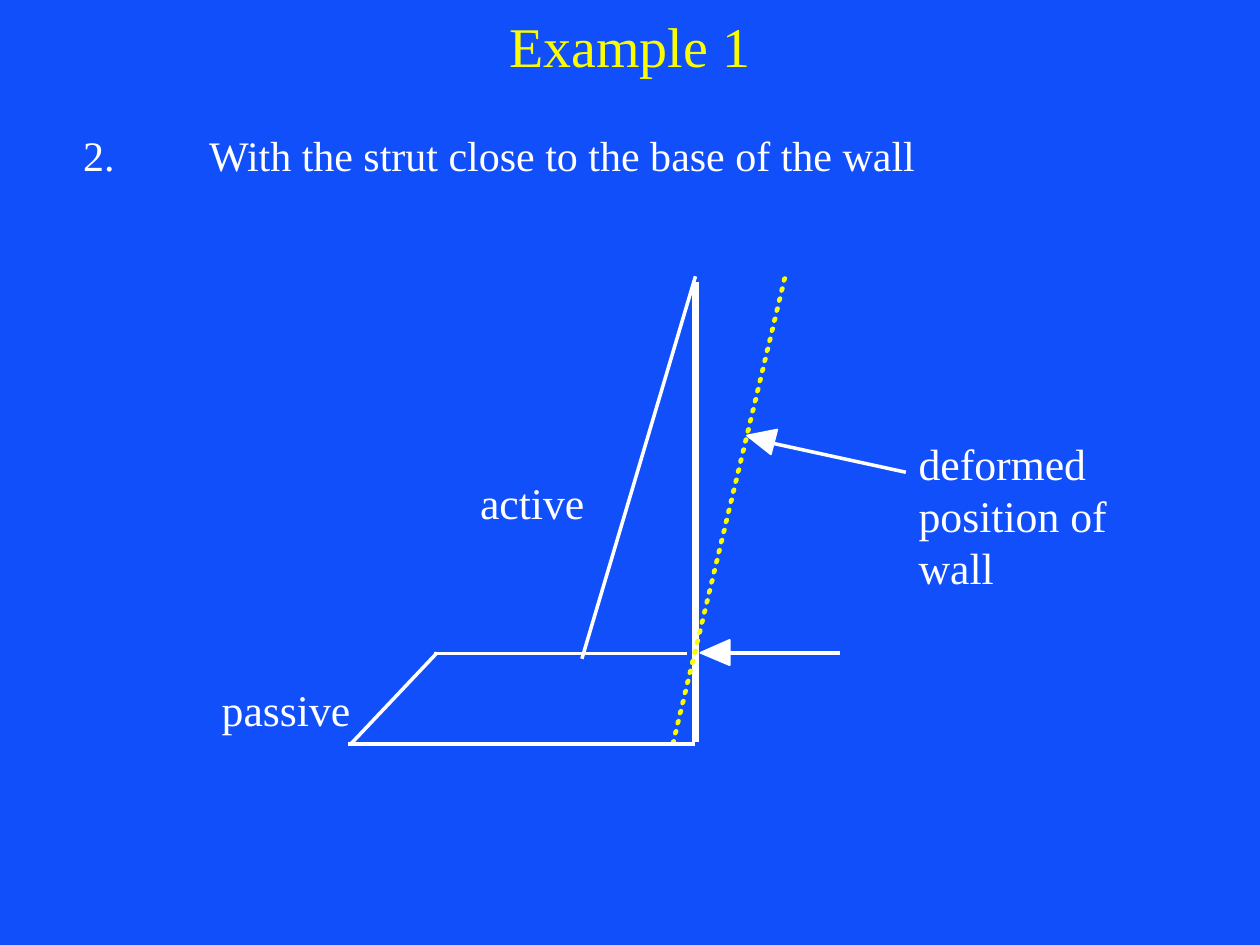
import dataclasses
import typing

import pptx
import pptx.dml.color
import pptx.enum.shapes
import pptx.enum.text
import pptx.oxml.ns
import pptx.util
from lxml import etree

Cm = pptx.util.Cm
Pt = pptx.util.Pt
Point = tuple[float, float]


@dataclasses.dataclass(frozen=True)
class Theme:
    back: str = "114FFB"
    ink: str = "FFFFFF"
    gold: str = "FAFD00"
    face: str = "Times New Roman"
    head: float = 32
    body: float = 24
    label: float = 25
    wall: float = 4
    thin: float = 2
    edge: float = 1
    dot: float = 2.25


class Label(typing.NamedTuple):
    text: str
    left: float
    top: float
    width: float


class Stroke(typing.NamedTuple):
    start: Point
    end: Point
    size: float


class Patch(typing.NamedTuple):
    points: list[Point]
    line: str
    size: float


THEME = Theme()

WALL = Stroke((14.02, 14.96), (14.02, 5.69), THEME.wall)
STRUT = Stroke((16.94, 13.16), (14.55, 13.16), THEME.thin)
LOADS = [
    Stroke((14.02, 5.57), (11.73, 13.28), THEME.thin),
    Stroke((13.84, 13.17), (8.74, 13.17), THEME.thin),
    Stroke((14.02, 15), (7.01, 15), THEME.thin),
    Stroke((8.81, 13.16), (7.06, 15.01), THEME.thin),
]
POINTER = Stroke((18.26, 9.52), (15.32, 8.88), THEME.thin)
TIPS = [
    Patch([(14.71, 13.41), (14.71, 12.9), (14.12, 13.16)], THEME.ink, THEME.edge),
    Patch([(15.54, 9.16), (15.67, 8.66), (15.06, 8.78)], THEME.ink, THEME.edge),
]
LABELS = [
    Label("active", 9.43, 9.47, 2.64),
    Label("passive", 4.22, 13.63, 3.12),
] + [
    Label(text, 18.27, 8.69 + 1.04 * row, width)
    for row, (text, width) in enumerate(
        [("deformed", 3.9), ("position of", 4.4), ("wall", 2.04)]
    )
]

STEPS = 46
FOOT = (13.56, 14.94)
PEAK = (15.8, 5.61)
DOT = [(0, 0.05), (0.01, 0.05), (0.03, 0), (0.01, 0)]


def tint(code: str) -> pptx.dml.color.RGBColor:
    return pptx.dml.color.RGBColor.from_string(code)


def write(para, text: str, size: float, color: str) -> None:
    run = para.add_run()
    run.text = text
    run.font.name = THEME.face
    run.font.size = Pt(size)
    run.font.color.rgb = tint(color)


def place(shape, left: float, top: float, width: float, height: float) -> None:
    shape.left, shape.top = Cm(left), Cm(top)
    shape.width, shape.height = Cm(width), Cm(height)


def draw_line(slide, stroke: Stroke) -> None:
    ends = [Cm(value) for value in stroke.start + stroke.end]
    line = slide.shapes.add_connector(
        pptx.enum.shapes.MSO_CONNECTOR.STRAIGHT, *ends
    )
    line.line.color.rgb = tint(THEME.ink)
    line.line.width = Pt(stroke.size)
    etree.SubElement(line._element.spPr, pptx.oxml.ns.qn("a:effectLst"))


def draw_patch(slide, patch: Patch) -> None:
    first, *rest = [(Cm(x), Cm(y)) for x, y in patch.points]
    path = slide.shapes.build_freeform(*first)
    path.add_line_segments(rest, close=True)
    shape = path.convert_to_shape()
    shape.shadow.inherit = False
    shape.fill.solid()
    shape.fill.fore_color.rgb = tint(THEME.ink)
    shape.line.color.rgb = tint(patch.line)
    shape.line.width = Pt(patch.size)


def draw_dots(slide) -> None:
    for step in range(STEPS + 1):
        left, top = (a + (b - a) * step / STEPS for a, b in zip(FOOT, PEAK))
        points = [(left + x, top + y) for x, y in DOT]
        draw_patch(slide, Patch(points, THEME.gold, THEME.dot))


def draw_label(slide, label: Label) -> None:
    box = slide.shapes.add_textbox(
        Cm(label.left), Cm(label.top), Cm(label.width), Cm(1.3)
    )
    frame = box.text_frame
    frame.word_wrap = False
    frame.auto_size = pptx.enum.text.MSO_AUTO_SIZE.SHAPE_TO_FIT_TEXT
    write(frame.paragraphs[0], label.text, THEME.label, THEME.ink)


def fill_title(slide) -> None:
    title = slide.shapes.title
    place(title, 1.9, 0, 21.6, 1.8)
    frame = title.text_frame
    frame.auto_size = pptx.enum.text.MSO_AUTO_SIZE.NONE
    frame.vertical_anchor = pptx.enum.text.MSO_ANCHOR.MIDDLE
    para = frame.paragraphs[0]
    para.alignment = pptx.enum.text.PP_ALIGN.CENTER
    write(para, "Example 1", THEME.head, THEME.gold)


def fill_body(slide) -> None:
    body = slide.placeholders[1]
    place(body, 1.42, 2.49, 22.35, 1.27)
    frame = body.text_frame
    frame.auto_size = pptx.enum.text.MSO_AUTO_SIZE.NONE
    frame.vertical_anchor = pptx.enum.text.MSO_ANCHOR.TOP
    para = frame.paragraphs[0]
    props = para._p.get_or_add_pPr()
    props.set("marL", "0")
    props.set("indent", "0")
    props.set("defTabSz", str(Cm(2.54)))
    etree.SubElement(props, pptx.oxml.ns.qn("a:buNone"))
    para.space_before = Pt(0)
    text = "2.\tWith the strut close to the base of the wall"
    write(para, text, THEME.body, THEME.ink)


def main() -> None:
    deck = pptx.Presentation()
    deck.slide_width, deck.slide_height = Cm(25.4), Cm(19.05)
    slide = deck.slides.add_slide(deck.slide_layouts[1])
    slide.background.fill.solid()
    slide.background.fill.fore_color.rgb = tint(THEME.back)
    fill_title(slide)
    fill_body(slide)
    for stroke in [WALL, STRUT]:
        draw_line(slide, stroke)
    draw_dots(slide)
    for stroke in LOADS + [POINTER]:
        draw_line(slide, stroke)
    for tip in TIPS:
        draw_patch(slide, tip)
    for label in LABELS:
        draw_label(slide, label)
    deck.save("out.pptx")


if __name__ == "__main__":
    main()
